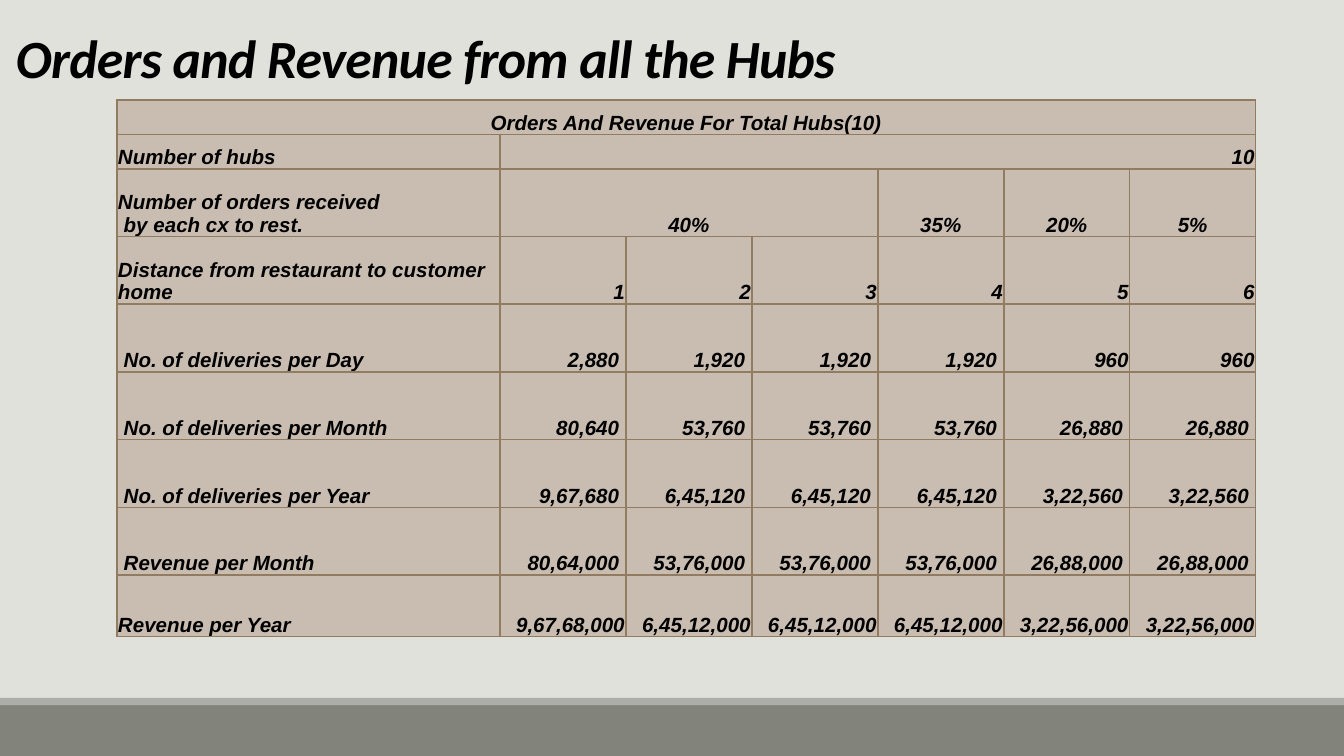
from lxml.etree import SubElement
from pptx import Presentation
from pptx.dml.color import RGBColor
from pptx.enum.shapes import MSO_SHAPE as Shape
from pptx.enum.text import MSO_ANCHOR as Anchor, MSO_AUTO_SIZE as AutoSize, PP_ALIGN as Align
from pptx.oxml.ns import qn
from pptx.util import Cm, Pt

BLACK, BORDER, CELL = "000000", "927C61", "C9BDB2"


def color(value):
    return RGBColor.from_string(value)


class SlideBuilder:
    title_font, table_font = "Calibri", "Arial"
    title_size, table_size = 28.8, 11

    def __init__(self, presentation):
        self.slide = presentation.slides.add_slide(presentation.slide_layouts[5])

    def background(self, fill):
        self.slide.background.fill.solid()
        self.slide.background.fill.fore_color.rgb = color(fill)

    def bar(self, top, height, fill):
        shape = self.slide.shapes.add_shape(Shape.RECTANGLE, 0, Cm(top), Cm(25.4), Cm(height))
        shape.shadow.inherit = False
        shape.fill.solid()
        shape.fill.fore_color.rgb = color(fill)
        shape.line.fill.background()

    def add_run(self, paragraph, text, font, size):
        run = paragraph.add_run()
        run.text = text
        run.font.name, run.font.size = font, Pt(size)
        run.font.bold = run.font.italic = True
        run.font.color.rgb = color(BLACK)
        return run

    def title(self, text, left, top, width, height):
        shape = self.slide.shapes.title
        shape.left, shape.top, shape.width, shape.height = map(Cm, (left, top, width, height))
        frame = shape.text_frame
        frame.word_wrap, frame.auto_size = True, AutoSize.NONE
        frame.vertical_anchor = Anchor.MIDDLE
        frame.margin_left = frame.margin_right = Cm(0.25)
        frame.margin_top = frame.margin_bottom = Cm(0.25)
        paragraph = frame.paragraphs[0]
        paragraph.alignment, paragraph.line_spacing = Align.LEFT, 0.85
        run = self.add_run(paragraph, text, self.title_font, self.title_size)
        run.font._element.set("spc", "-40")

    def table(self, left, top, columns, rows):
        frame = self.slide.shapes.add_table(
            len(rows), len(columns), Cm(left), Cm(top), Cm(sum(columns)), Cm(sum(rows)))
        table = frame.table
        table.first_row = table.horz_banding = False
        for column, width in zip(table.columns, columns):
            column.width = Cm(width)
        for row, height in zip(table.rows, rows):
            row.height = Cm(height)
        for cell in table.iter_cells():
            self.style_cell(cell)
        return table

    def style_cell(self, cell):
        # Borders come before the fill in the cell properties
        properties = cell._tc.get_or_add_tcPr()
        for side in ("a:lnL", "a:lnR", "a:lnT", "a:lnB"):
            line = SubElement(properties, qn(side), w=str(Pt(1)))
            SubElement(SubElement(line, qn("a:solidFill")), qn("a:srgbClr"), val=BORDER)
        cell.fill.solid()
        cell.fill.fore_color.rgb = color(CELL)
        cell.vertical_anchor = Anchor.BOTTOM
        cell.margin_left = cell.margin_right = cell.margin_top = Cm(0.02)
        cell.margin_bottom = 0

    def cell_text(self, cell, text, alignment):
        frame = cell.text_frame
        for index, line in enumerate(text.split("\n")):
            paragraph = frame.add_paragraph() if index else frame.paragraphs[0]
            paragraph.alignment = alignment
            self.add_run(paragraph, line, self.table_font, self.table_size)


# Each row: value alignment, then (text, columns spanned) or plain text
TABLE_ROWS = [
    (Align.CENTER, [("Orders And Revenue For Total Hubs(10)", 7)]),
    (Align.RIGHT, ["Number of hubs", ("10", 6)]),
    (Align.CENTER, ["Number of orders received\n by each cx to rest.",
                    ("40%", 3), "35%", "20%", "5%"]),
    (Align.RIGHT, ["Distance from restaurant to customer home", "1", "2", "3", "4", "5", "6"]),
    (Align.RIGHT, [" No. of deliveries per Day",
                   "2,880 ", "1,920 ", "1,920 ", "1,920 ", "960", "960"]),
    (Align.RIGHT, [" No. of deliveries per Month",
                   "80,640 ", "53,760 ", "53,760 ", "53,760 ", "26,880 ", "26,880 "]),
    (Align.RIGHT, [" No. of deliveries per Year", "9,67,680 ", "6,45,120 ", "6,45,120 ",
                   "6,45,120 ", "3,22,560 ", "3,22,560 "]),
    (Align.RIGHT, [" Revenue per Month", "80,64,000 ", "53,76,000 ", "53,76,000 ",
                   "53,76,000 ", "26,88,000 ", "26,88,000 "]),
    (Align.RIGHT, ["Revenue per Year", "9,67,68,000", "6,45,12,000", "6,45,12,000",
                   "6,45,12,000", "3,22,56,000", "3,22,56,000"]),
]


def main():
    presentation = Presentation()
    presentation.slide_width, presentation.slide_height = Cm(25.4), Cm(14.29)
    builder = SlideBuilder(presentation)

    # Background and footer bars
    builder.background("E1E1DB")
    builder.bar(13.33, 0.96, "82847C")
    builder.bar(13.19, 0.14, "ACADA8")

    # Title
    builder.title("Orders and Revenue from all the Hubs", 0.05, 0.38, 23.67, 1.6)

    # Orders and revenue table
    table = builder.table(2.21, 1.89, [7.24] + [2.38] * 6, [0.65] * 2 + [1.28] * 6 + [1.16])
    for row, (value_alignment, entries) in enumerate(TABLE_ROWS):
        column = 0
        for entry in entries:
            text, span = entry if isinstance(entry, tuple) else (entry, 1)
            cell = table.cell(row, column)
            if span > 1:
                cell.merge(table.cell(row, column + span - 1))
            is_label = column == 0 and span == 1
            builder.cell_text(cell, text, Align.LEFT if is_label else value_alignment)
            column += span

    presentation.save("out.pptx")


if __name__ == "__main__":
    main()
